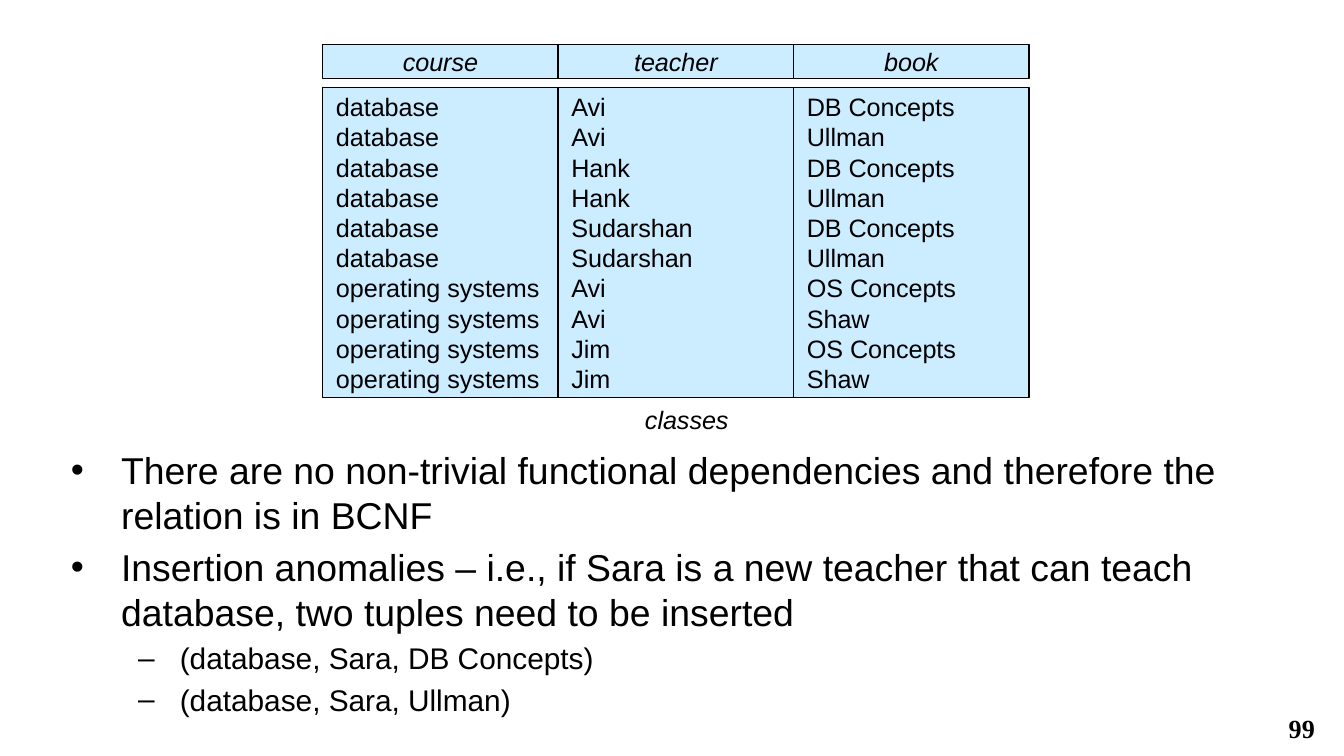
import dataclasses

import pptx
import pptx.dml.color
import pptx.enum.shapes
import pptx.enum.text
import pptx.oxml.ns
import pptx.util
from lxml import etree
from pptx.util import Cm, Pt

ALIGN = pptx.enum.text.PP_ALIGN
ANCHOR = pptx.enum.text.MSO_ANCHOR


@dataclasses.dataclass(frozen=True)
class Theme:
    """Colours, fonts and type sizes of the slide."""
    ink: str = "000000"
    cell: str = "CCECFF"
    font: str = "Arial"
    number_font: str = "Times New Roman"
    table_size: float = 13.5
    bullet_sizes: tuple = (20, 16)
    number_size: float = 14


THEME = Theme()

DATABASE, SYSTEMS = "database", "operating systems"
CLASSES = {
    "course": [DATABASE] * 6 + [SYSTEMS] * 4,
    "teacher": ["Avi", "Avi", "Hank", "Hank", "Sudarshan", "Sudarshan",
                "Avi", "Avi", "Jim", "Jim"],
    "book": ["DB Concepts", "Ullman"] * 3 + ["OS Concepts", "Shaw"] * 2,
}
BULLETS = [
    (0, "There are no non-trivial functional dependencies and therefore the relation is in BCNF"),
    (0, "Insertion anomalies – i.e., if Sara is a new teacher that can teach database, "
        "two tuples need to be inserted"),
    (1, "(database, Sara, DB Concepts)"),
    (1, "(database, Sara, Ullman)"),
]
BULLET_STYLES = [("•", Cm(0.95), Cm(-0.95)), ("–", Cm(2.06), Cm(-0.79))]


def rgb(value):
    """Return a colour object for a hex value."""
    return pptx.dml.color.RGBColor.from_string(value)


def style_paragraph(para, size, font=THEME.font, align=ALIGN.LEFT, italic=False, bold=False):
    """Align a paragraph and format its runs."""
    para.alignment = align
    for span in para.runs:
        span.font.name = font
        span.font.size = Pt(size)
        span.font.italic = italic
        span.font.bold = bold
        span.font.color.rgb = rgb(THEME.ink)


def fill_text(box, text, size, wrap=True, **style):
    """Put styled text into a shape."""
    frame = box.text_frame
    frame.word_wrap = wrap
    frame.text = text
    for para in frame.paragraphs:
        style_paragraph(para, size, **style)


def add_label(page, text, left, top, width, height, size, **style):
    """Add a text box that holds one short text."""
    box = page.shapes.add_textbox(left, top, width, height)
    fill_text(box, text, size, **style)


def add_cell(page, text, left, top, width, height, **style):
    """Add an outlined table cell."""
    box = page.shapes.add_shape(
        pptx.enum.shapes.MSO_SHAPE.RECTANGLE, left, top, width, height)
    box.shadow.inherit = False
    box.fill.solid()
    box.fill.fore_color.rgb = rgb(THEME.cell)
    box.line.color.rgb = rgb(THEME.ink)
    box.line.width = Pt(0.75)
    box.text_frame.vertical_anchor = ANCHOR.MIDDLE
    fill_text(box, text, THEME.table_size, **style)


def add_relation(page):
    """Add the relation with its detached header row and its name."""
    width = Cm(4.45)
    lefts = [Cm(6.1) + column * width for column in range(len(CLASSES))]
    for left, name in zip(lefts, CLASSES):
        add_cell(page, name, left, Cm(0.84), width, Cm(0.64), align=ALIGN.CENTER, italic=True)
    for left, values in zip(lefts, CLASSES.values()):
        add_cell(page, "\n".join(values), left, Cm(1.65), width, Cm(5.87))
    add_label(page, "classes", Cm(11.94), Cm(7.52), Cm(2.11), Cm(0.84),
              THEME.table_size, wrap=False, italic=True)


def set_bullet(para, level):
    """Give a paragraph the bullet and indents of its level."""
    mark, margin, indent = BULLET_STYLES[level]
    para.level = level
    properties = para._p.get_or_add_pPr()
    properties.set("marL", str(margin))
    properties.set("indent", str(indent))
    etree.SubElement(properties, pptx.oxml.ns.qn("a:buFont"), typeface=THEME.font)
    etree.SubElement(properties, pptx.oxml.ns.qn("a:buChar"), char=mark)


def add_bullets(page):
    """Add the bulleted remarks on the relation."""
    box = page.shapes.add_textbox(Cm(1.09), Cm(8.33), Cm(23.8), Cm(5.59))
    frame = box.text_frame
    frame.word_wrap = True
    frame.text = "\n".join(text for _, text in BULLETS)
    for index, (para, (level, _)) in enumerate(zip(frame.paragraphs, BULLETS)):
        size = THEME.bullet_sizes[level]
        set_bullet(para, level)
        style_paragraph(para, size)
        if index:
            para.space_before = Pt(size * 0.2)


def main():
    """Build and save the deck."""
    deck = pptx.Presentation()
    deck.slide_width, deck.slide_height = Cm(25.4), Cm(14.29)
    page = deck.slides.add_slide(deck.slide_layouts[6])
    add_label(page, "99", Cm(23.5), Cm(13.34), Cm(1.6), Cm(0.86), THEME.number_size,
              font=THEME.number_font, align=ALIGN.RIGHT, bold=True)
    add_bullets(page)
    add_relation(page)
    deck.save("out.pptx")


if __name__ == "__main__":
    main()
